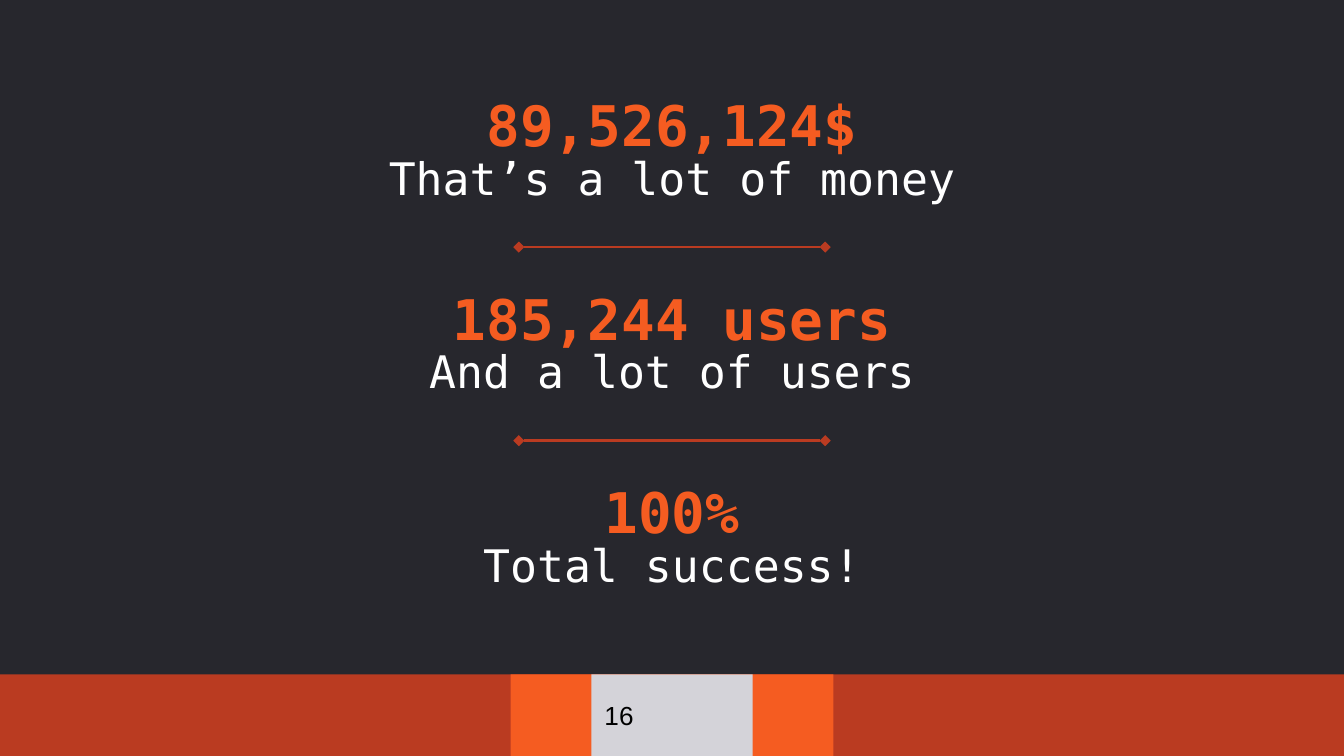
from dataclasses import dataclass
from lxml import etree
from pptx import Presentation
from pptx.dml.color import RGBColor
from pptx.enum.shapes import MSO_CONNECTOR, MSO_SHAPE
from pptx.enum.text import MSO_ANCHOR, PP_ALIGN
from pptx.oxml.ns import qn
from pptx.util import Cm, Pt

RECTANGLE = MSO_SHAPE.RECTANGLE
STRAIGHT = MSO_CONNECTOR.STRAIGHT
TOP, MIDDLE, BOTTOM = MSO_ANCHOR.TOP, MSO_ANCHOR.MIDDLE, MSO_ANCHOR.BOTTOM
LEFT, CENTER = PP_ALIGN.LEFT, PP_ALIGN.CENTER

FIGURES = [
    ("89,526,124$", "That’s a lot of money"),
    ("185,244 users", "And a lot of users"),
    ("100%", "Total success!"),
]
PAGE_NUMBER = "16"


@dataclass(frozen=True)
class Theme:
    background: RGBColor = RGBColor.from_string("27272D")
    rust: RGBColor = RGBColor.from_string("BA3B21")
    orange: RGBColor = RGBColor.from_string("F55C21")
    silver: RGBColor = RGBColor.from_string("D4D3D9")
    white: RGBColor = RGBColor.from_string("FFFFFF")
    black: RGBColor = RGBColor.from_string("000000")
    mono: str = "DejaVu Sans Mono"
    sans: str = "Arial"
    figure_size: Pt = Pt(30)
    caption_size: Pt = Pt(24)
    number_size: Pt = Pt(14)
    divider_width: Pt = Pt(1.5)


THEME = Theme()
SLIDE_WIDTH, SLIDE_HEIGHT = Cm(25.4), Cm(14.29)
FOOTER_TOP = Cm(12.75)
FOOTER_BANDS = [
    (SLIDE_WIDTH, THEME.rust),
    (Cm(6.1), THEME.orange),
    (Cm(3.05), THEME.silver),
]
PITCH = Cm(3.66)
FIGURE_TOP, FIGURE_HEIGHT = Cm(0.74), Cm(2.49)
CAPTION_TOP, CAPTION_HEIGHT = Cm(2.44), Cm(1.3)
TEXT_WIDTH = Cm(21.59)
DIVIDER_TOP, DIVIDER_LENGTH = Cm(4.67), Cm(5.79)
INSET = Cm(0.25)

FIGURE_FORMAT = {"name": THEME.mono, "size": THEME.figure_size, "bold": True}
CAPTION_FORMAT = {"name": THEME.mono, "size": THEME.caption_size}
NUMBER_FORMAT = {"name": THEME.sans, "size": THEME.number_size}
CAPTION_SPACING = {"line_spacing": 1.15, "space_before": Pt(6)}


def apply(target, values):
    for key, value in values.items():
        setattr(target, key, value)


def centred(width):
    return (SLIDE_WIDTH - width) // 2


def write(holder, text, font, color, anchor, align=CENTER, spacing=None):
    frame = holder.text_frame
    apply(frame, {"word_wrap": True, "vertical_anchor": anchor,
                  "margin_left": INSET, "margin_right": INSET,
                  "margin_top": INSET, "margin_bottom": INSET})
    paragraph = frame.paragraphs[0]
    apply(paragraph, {"alignment": align, **(spacing or {})})
    run = paragraph.add_run()
    run.text = text
    apply(run.font, font)
    run.font.color.rgb = color


def add_band(width, color):
    band = slide.shapes.add_shape(
        RECTANGLE, centred(width), FOOTER_TOP, width, SLIDE_HEIGHT - FOOTER_TOP)
    band.shadow.inherit = False
    band.fill.solid()
    band.fill.fore_color.rgb = color
    band.line.fill.background()
    return band


def add_divider(top):
    start = centred(DIVIDER_LENGTH)
    divider = slide.shapes.add_connector(
        STRAIGHT, start, top, start + DIVIDER_LENGTH, top)
    divider.line.color.rgb = THEME.rust
    divider.line.width = THEME.divider_width
    stroke = divider.line._get_or_add_ln()
    for end in ("a:headEnd", "a:tailEnd"):
        etree.SubElement(stroke, qn(end), type="diamond")
    etree.SubElement(divider._element.spPr, qn("a:effectLst"))


deck = Presentation()
deck.slide_width, deck.slide_height = SLIDE_WIDTH, SLIDE_HEIGHT
slide = deck.slides.add_slide(deck.slide_layouts[6])
slide.background.fill.solid()
slide.background.fill.fore_color.rgb = THEME.background

bands = [add_band(width, color) for width, color in FOOTER_BANDS]
write(bands[-1], PAGE_NUMBER, NUMBER_FORMAT, THEME.black, MIDDLE, LEFT)

for index, (figure, caption) in enumerate(FIGURES):
    offset = index * PITCH
    if index:
        add_divider(DIVIDER_TOP + offset - PITCH)
    figure_box = slide.shapes.add_textbox(
        centred(TEXT_WIDTH), FIGURE_TOP + offset, TEXT_WIDTH, FIGURE_HEIGHT)
    write(figure_box, figure, FIGURE_FORMAT, THEME.orange, BOTTOM)
    caption_box = slide.shapes.add_textbox(
        centred(TEXT_WIDTH), CAPTION_TOP + offset, TEXT_WIDTH, CAPTION_HEIGHT)
    write(caption_box, caption, CAPTION_FORMAT, THEME.white, TOP,
          spacing=CAPTION_SPACING)

deck.save("out.pptx")
